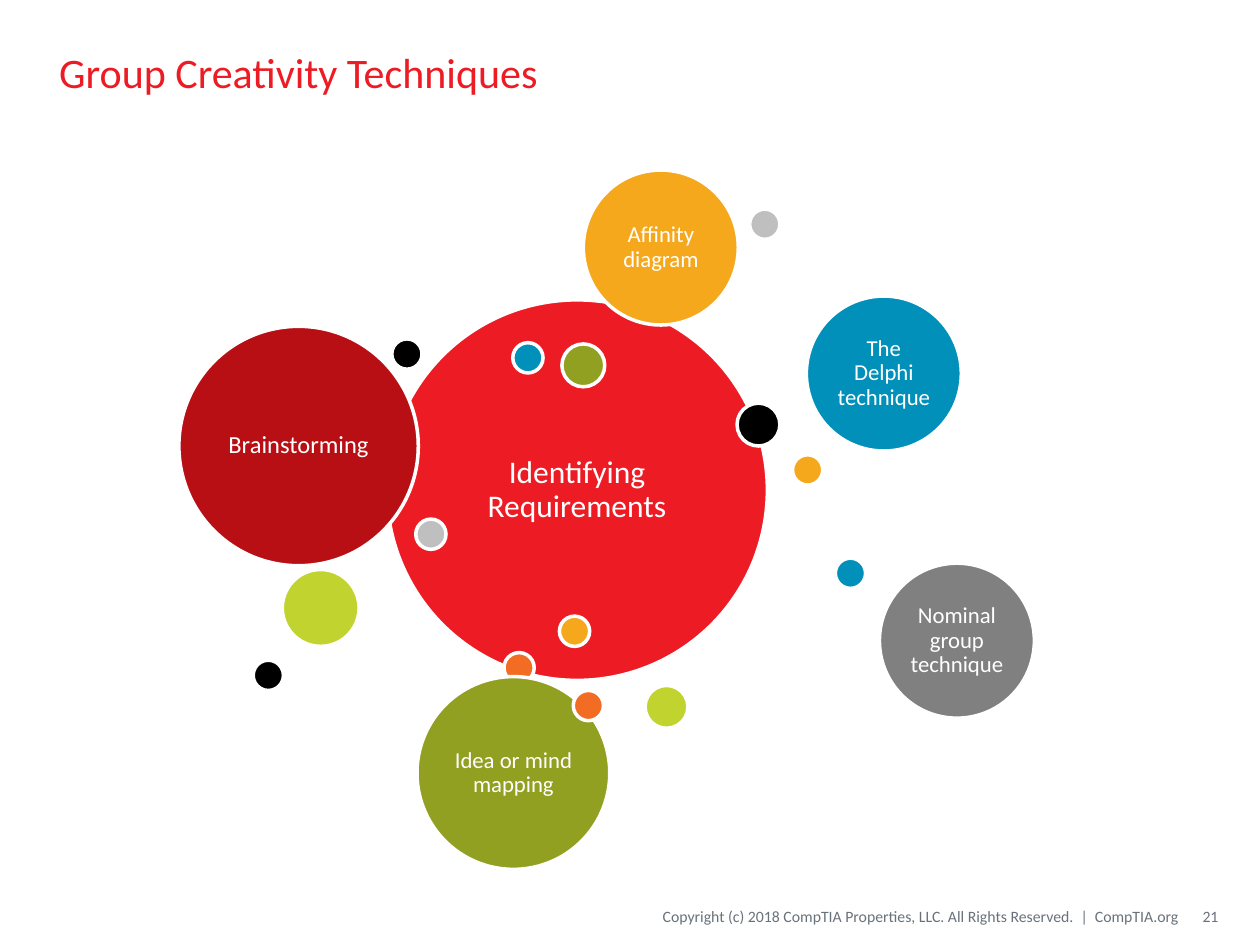
from dataclasses import dataclass

from pptx import Presentation
from pptx.dml.color import RGBColor
from pptx.enum.shapes import MSO_SHAPE
from pptx.enum.text import MSO_ANCHOR, PP_ALIGN
from pptx.util import Inches, Pt

OVAL = MSO_SHAPE.OVAL
MIDDLE = MSO_ANCHOR.MIDDLE
LEFT, CENTER, RIGHT = PP_ALIGN.LEFT, PP_ALIGN.CENTER, PP_ALIGN.RIGHT


@dataclass(frozen=True)
class Theme:
    font: str = "Calibri"
    red: str = "ED1C24"
    dark_red: str = "B80F15"
    orange: str = "F26C23"
    amber: str = "F5A81C"
    lime: str = "C1D32F"
    olive: str = "92A022"
    blue: str = "0090B9"
    gray: str = "808080"
    silver: str = "BFBFBF"
    slate: str = "69727B"
    black: str = "000000"
    white: str = "FFFFFF"
    title_size: float = 24
    hub_size: float = 18
    main_size: float = 14
    label_size: float = 13
    footer_size: float = 9
    outline: float = 2


class SlideBuilder:
    def __init__(self, slide, theme):
        self.s = slide
        self.theme = theme

    def fill_text(self, tf, text, size, color, align, margins, spacing=None):
        """Fill a text frame with one formatted paragraph."""
        frame = dict(zip(("margin_left", "margin_top", "margin_right", "margin_bottom"),
                         map(Inches, margins)))
        frame.update(word_wrap=True, vertical_anchor=MIDDLE)
        p = tf.paragraphs[0]
        r = p.add_run()
        formats = (
            (tf, frame),
            (p, {"alignment": align, "line_spacing": spacing}),
            (r, {"text": text}),
            (r.font, {"name": self.theme.font, "size": Pt(size)}),
        )
        for target, values in formats:
            for name, value in values.items():
                setattr(target, name, value)
        r.font.color.rgb = RGBColor.from_string(color)

    def title(self, text, x, y, w, h):
        sp = self.s.shapes.title
        sp.left, sp.top, sp.width, sp.height = map(Inches, (x, y, w, h))
        self.fill_text(sp.text_frame, text, self.theme.title_size, self.theme.red,
                       LEFT, (0.1, 0.05, 0.1, 0.05))

    def footer(self, text, x, y, w, h, left_margin=0):
        sp = self.s.shapes.add_textbox(*map(Inches, (x, y, w, h)))
        self.fill_text(sp.text_frame, text, self.theme.footer_size, self.theme.slate,
                       RIGHT, (left_margin, 0.05, 0, 0.05))

    def circle(self, x, y, d, color, text=None, size=None):
        sp = self.s.shapes.add_shape(OVAL, *map(Inches, (x, y, d, d)))
        sp.shadow.inherit = False
        sp.fill.solid()
        sp.fill.fore_color.rgb = RGBColor.from_string(color)
        sp.line.color.rgb = RGBColor.from_string(self.theme.white)
        sp.line.width = Pt(self.theme.outline)
        if text:
            self.fill_text(sp.text_frame, text, size, self.theme.white,
                           CENTER, (0.06,) * 4, 0.9)


def main():
    prs = Presentation()
    prs.slide_width, prs.slide_height = Inches(10), Inches(7.5)
    t = Theme()
    s = SlideBuilder(prs.slides.add_slide(prs.slide_layouts[5]), t)

    # Title and footer
    s.title("Group Creativity Techniques", 0.37, 0.11, 9.25, 0.92)
    s.footer("Copyright (c) 2018 CompTIA Properties, LLC. All Rights Reserved."
             "  |  CompTIA.org", 3.88, 7.12, 5.47, 0.3)
    s.footer("21", 9.38, 7.12, 0.29, 0.3, left_margin=0.1)

    # Circle cluster, back to front; three diameters repeat
    dot, bead, bubble = 0.24, 0.34, 1.23
    circles = (
        (3.07, 2.38, 3.02, t.red, "Identifying Requirements", t.hub_size),
        (4.00, 5.18, dot, t.orange),
        (6.29, 3.61, dot, t.amber),
        (5.12, 5.44, bead, t.lime),
        (4.07, 2.72, dot, t.blue),
        (3.30, 4.12, dot, t.silver),
        (1.42, 2.59, 1.9, t.dark_red, "Brainstorming", t.main_size),
        (4.46, 2.73, bead, t.olive),
        (2.24, 4.52, 0.61, t.lime),
        (6.40, 2.35, bubble, t.blue, "The Delphi technique", t.label_size),
        (5.85, 3.20, bead, t.black),
        (2.01, 5.24, dot, t.black),
        (4.44, 4.89, dot, t.amber),
        (6.98, 4.47, bubble, t.gray, "Nominal group technique", t.label_size),
        (6.63, 4.43, dot, t.blue),
        (3.31, 5.37, 1.53, t.olive, "Idea or mind mapping", t.label_size),
        (4.55, 5.48, dot, t.orange),
        (4.63, 1.35, bubble, t.amber, "Affinity diagram", t.label_size),
        (3.11, 2.69, dot, t.black),
        (5.95, 1.66, dot, t.silver),
    )
    for circle in circles:
        s.circle(*circle)

    prs.save("out.pptx")


if __name__ == "__main__":
    main()
